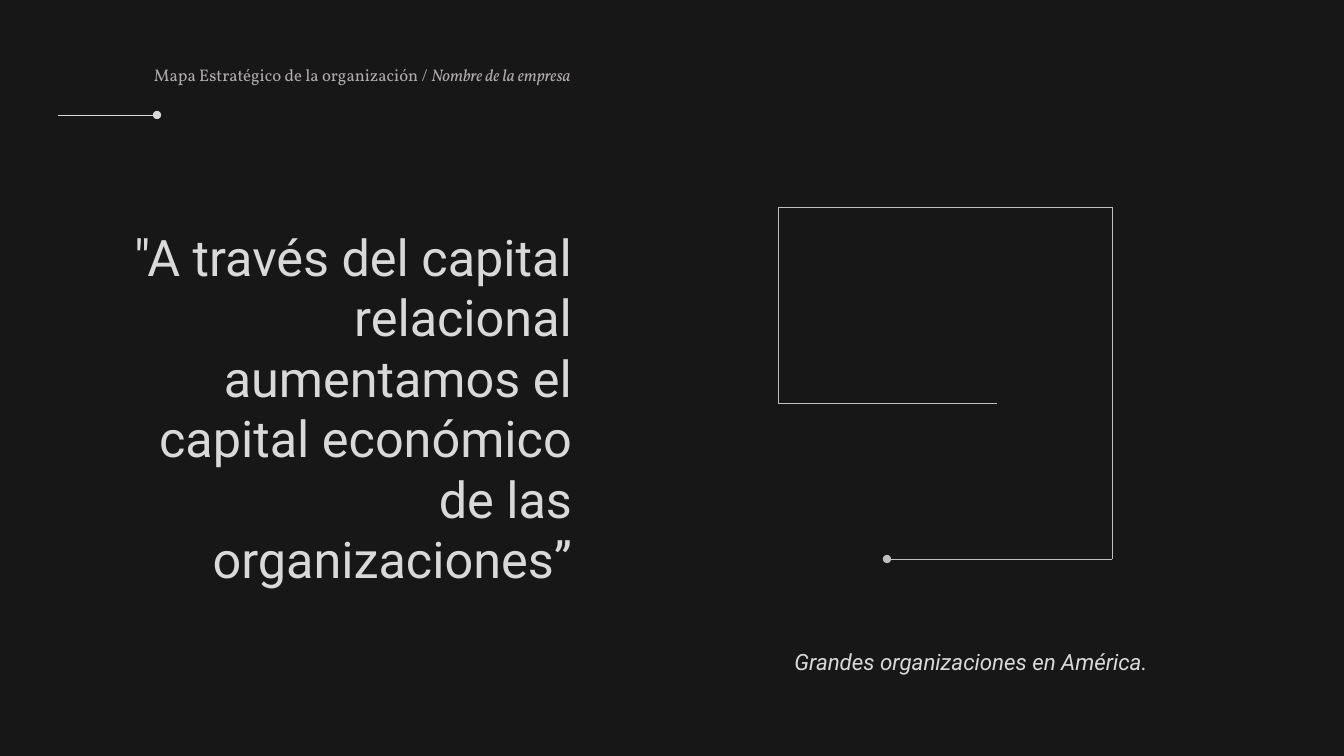
from lxml.etree import SubElement
from pptx import Presentation
from pptx.dml.color import RGBColor
from pptx.enum.shapes import MSO_CONNECTOR
from pptx.enum.text import MSO_AUTO_SIZE, PP_ALIGN
from pptx.oxml.ns import qn
from pptx.util import Emu, Pt

PX = 914400 / 100.8


def add_text(box, paragraphs, font_name, size, color, align, italic=None):
    frame = slide.shapes.add_textbox(*[Emu(round(n * PX)) for n in box]).text_frame
    frame.word_wrap = True
    frame.auto_size = MSO_AUTO_SIZE.SHAPE_TO_FIT_TEXT
    frame.text = "\n".join(paragraphs)
    for paragraph in frame.paragraphs:
        paragraph.alignment = align
        paragraph.font.name = font_name
        paragraph.font.size = Pt(size)
        paragraph.font.color.rgb = RGBColor.from_string(color)
        paragraph.font.italic = italic
    return frame


def add_line(shapes, start, end, color, dot=False):
    ends = [Emu(round(n * PX)) for n in (*start, *end)]
    line = shapes.add_connector(MSO_CONNECTOR.STRAIGHT, *ends)
    line.line.color.rgb = RGBColor.from_string(color)
    line.line.width = Pt(0.5)
    if dot:
        SubElement(line.line._get_or_add_ln(), qn("a:tailEnd"), type="oval")
    SubElement(line._element.spPr, qn("a:effectLst"))


deck = Presentation()
deck.slide_width = Emu(round(1344 * PX))
deck.slide_height = Emu(round(756 * PX))
slide = deck.slides.add_slide(deck.slide_layouts[6])
slide.background.fill.solid()
slide.background.fill.fore_color.rgb = RGBColor.from_string("181717")

header = add_text((144, 60, 710, 30), ["Mapa Estratégico de la organización / "],
                  "Vollkorn", 12, "AFABAB", PP_ALIGN.LEFT)
company = header.paragraphs[0].add_run()
company.text = "Nombre de la empresa"
company.font.italic = True
add_line(slide.shapes, (58, 115), (157, 115), "D9D9D9", dot=True)

add_text((112, 221, 470, 377),
         ['"A través del capital relacional aumentamos el capital económico',
          "de las organizaciones”"],
         "Roboto", 36, "D9D9D9", PP_ALIGN.RIGHT)
add_text((640, 643, 662, 37), ["Grandes organizaciones en América."],
         "Roboto", 16, "D9D9D9", PP_ALIGN.CENTER, italic=True)

spiral = slide.shapes.add_group_shape()
corners = [(997, 403), (778, 403), (778, 207), (1112, 207), (1112, 559), (887, 559)]
for start, end in zip(corners, corners[1:]):
    add_line(spiral.shapes, start, end, "BFBFBF", dot=end == corners[-1])

deck.save("out.pptx")
